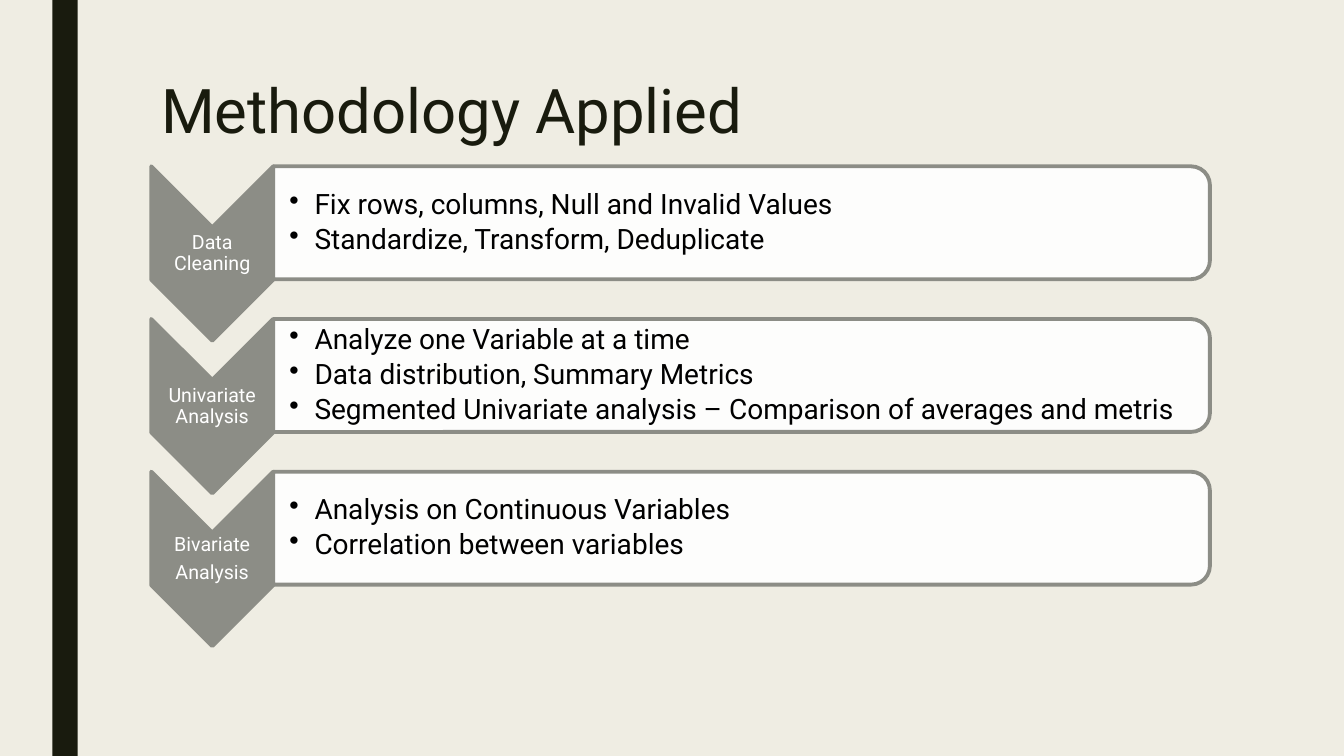
import pptx
import pptx.util
import pptx.dml.color
import pptx.enum.shapes
import pptx.enum.text
import lxml.etree
from pptx.oxml.ns import qn

Inches, Pt = pptx.util.Inches, pptx.util.Pt
SHAPE = pptx.enum.shapes.MSO_SHAPE
ANCHOR = pptx.enum.text.MSO_ANCHOR
ALIGN = pptx.enum.text.PP_ALIGN

TITLE = "Methodology Applied"
STEPS = [
    (["Data Cleaning"],
     ["Fix rows, columns, Null and Invalid Values",
      "Standardize, Transform, Deduplicate"]),
    (["Univariate Analysis"],
     ["Analyze one Variable at a time",
      "Data distribution, Summary Metrics",
      "Segmented Univariate analysis – Comparison of averages and metris"]),
    (["Bivariate", "Analysis"],
     ["Analysis on Continuous Variables",
      "Correlation between variables"]),
]
FONT = "Roboto"
PAPER, DARK, GREY, WHITE, BLACK = "EFEDE3", "191B0E", "8C8D86", "FFFFFF", "000000"

LEFT, TOP, PITCH = 1.5, 1.65, 3.03 / 2
CHEVRON_W, CHEVRON_H = 1.21, 1.73
PANEL_W, PANEL_H = 9.29, 1.12
LABEL_H, LIST_W, LIST_H = 0.52, 9.23, 1.01


def paint(fmt, color):
    fmt.solid()
    fmt.fore_color.rgb = pptx.dml.color.RGBColor.from_string(color)


def add_shape(s, kind, x, y, w, h, fill, line=None, rotation=0):
    if rotation:
        x, y, w, h = x + (w - h) / 2, y + (h - w) / 2, h, w
    sp = s.shapes.add_shape(kind, Inches(x), Inches(y), Inches(w), Inches(h))
    sp.rotation = rotation
    sp.shadow.inherit = False
    paint(sp.fill, fill)
    if line:
        paint(sp.line.fill, line)
        sp.line.width = Pt(2.75)
    else:
        sp.line.fill.background()
    return sp


def add_text(s, lines, x, y, w, h, size, color, spacing=0.9, after=0,
             align=ALIGN.LEFT, anchor=ANCHOR.MIDDLE, insets=(0.01, 0.01), bullet=False):
    tf = s.shapes.add_textbox(Inches(x), Inches(y), Inches(w), Inches(h)).text_frame
    tf.word_wrap = True
    tf.vertical_anchor = anchor
    tf.margin_left = Inches(insets[0])
    tf.margin_right = Inches(0.01)
    tf.margin_top = tf.margin_bottom = Inches(insets[1])
    for i, line in enumerate(lines):
        p = tf.add_paragraph() if i else tf.paragraphs[0]
        p.alignment = align
        p.line_spacing = spacing
        p.space_after = Pt(after)
        if bullet:
            pPr = p._p.get_or_add_pPr()
            pPr.set("marL", str(Inches(0.25)))
            pPr.set("indent", str(-Inches(0.25)))
            lxml.etree.SubElement(pPr, qn("a:buChar")).set("char", "•")
        r = p.add_run()
        r.text = line
        r.font.name = FONT
        r.font.size = Pt(size)
        paint(r.font.fill, color)


def add_step(s, y, label, points):
    add_shape(s, SHAPE.CHEVRON, LEFT, y, CHEVRON_W, CHEVRON_H, GREY, GREY, 90)
    add_text(s, label, LEFT, y + (CHEVRON_H - LABEL_H) / 2, CHEVRON_W, LABEL_H,
             14, WHITE, after=5, align=ALIGN.CENTER)
    x = LEFT + CHEVRON_W
    panel = add_shape(s, SHAPE.ROUND_2_SAME_RECTANGLE, x, y, PANEL_W, PANEL_H,
                      WHITE, GREY, 90)
    clr = panel.fill._xPr.find(qn("a:solidFill"))[0]
    lxml.etree.SubElement(clr, qn("a:alpha")).set("val", "90000")
    add_text(s, points, x, y + (PANEL_H - LIST_H) / 2, LIST_W, LIST_H,
             20, BLACK, after=3.5, insets=(0.16, 0.01), bullet=True)


def main():
    prs = pptx.Presentation()
    prs.slide_width, prs.slide_height = Inches(13.33), Inches(7.5)
    s = prs.slides.add_slide(prs.slide_layouts[6])
    paint(s.background.fill, PAPER)
    add_shape(s, SHAPE.RECTANGLE, 0.52, 0, 0.25, 7.5, DARK)
    add_text(s, [TITLE], LEFT, 0.75, 10.5, 0.9, 44, DARK, spacing=0.89,
             anchor=ANCHOR.TOP, insets=(0.1, 0.05))
    for i, (label, points) in enumerate(STEPS):
        add_step(s, TOP + i * PITCH, label, points)
    prs.save("out.pptx")


if __name__ == "__main__":
    main()
